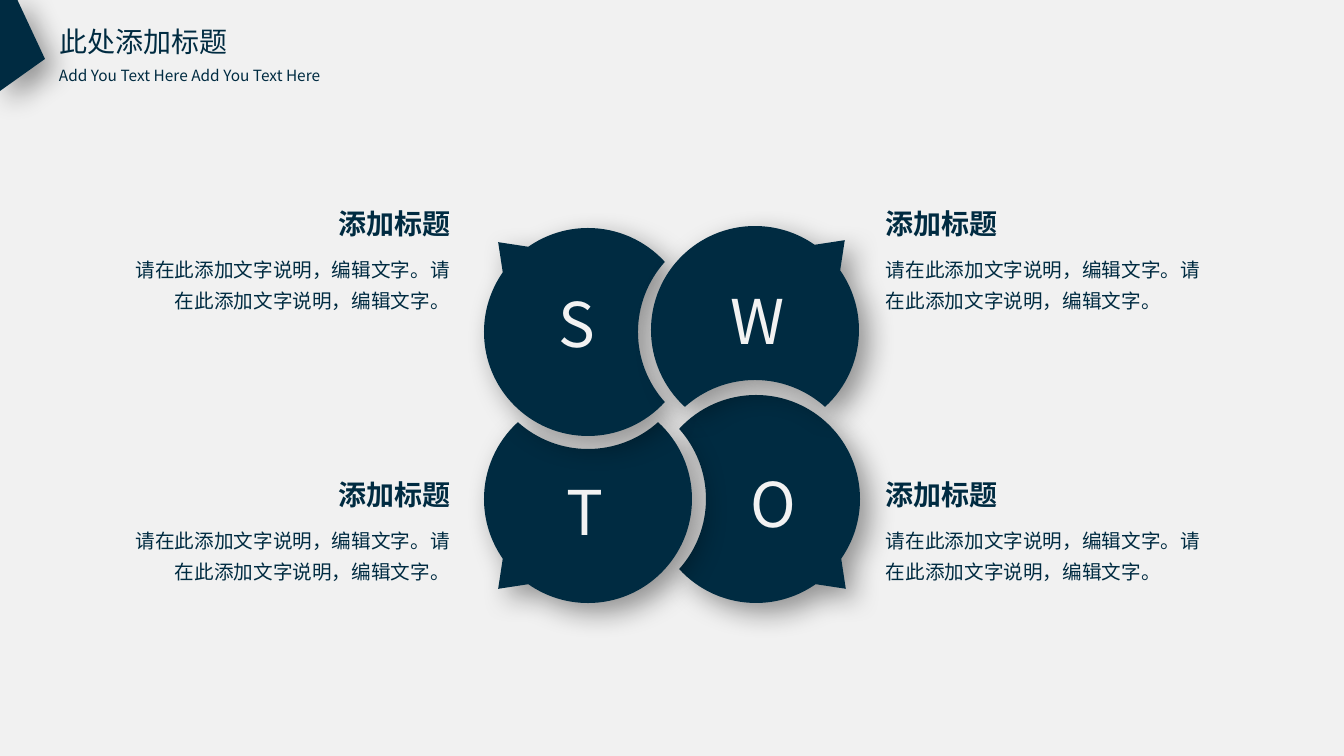
import math

import pptx
import pptx.dml.color
import pptx.enum.text
import pptx.oxml
import pptx.oxml.ns
import pptx.util

RGB = pptx.dml.color.RGBColor
ALIGN = pptx.enum.text.PP_ALIGN
NAVY = RGB(0x00, 0x2B, 0x41)
PALE = RGB(0xF2, 0xF2, 0xF2)
PAPER = RGB(0xF1, 0xF1, 0xF1)
FONT = "Noto Sans CJK SC"

TITLE = "此处添加标题"
SUBTITLE = "Add You Text Here Add You Text Here"
HEADING = "添加标题"
DETAIL = "请在此添加文字说明，编辑文字。请在此添加文字说明，编辑文字。"

PETALS = [
    {"letter": "O", "centre": (756, 499), "turn": 180, "label": (717, 466, 113, 75)},
    {"letter": "T", "centre": (588, 499), "turn": 270, "label": (524, 474, 122, 75)},
    {"letter": "S", "centre": (588, 332), "turn": 0, "label": (518, 286, 118, 75)},
    {"letter": "W", "centre": (755, 330), "turn": 90, "label": (703, 283, 109, 75)},
]
CORNER = [(17, -1), (0, -1), (0, 91), (45, 59), (17, -1)]
RADIUS, BITE_RADIUS, BITE_OFFSET = 104, 105, 155
HORN_ANGLE, HORN_HALF, HORN_REACH = 225, 10, 127

ROW_TOPS = [202, 473]
SIDES = [
    {"align": ALIGN.RIGHT, "heading_left": 269, "detail_left": 120},
    {"align": ALIGN.LEFT, "heading_left": 876, "detail_left": 876},
]
HEADING_SIZE = (192, 44)
DETAIL_SIZE = (340, 69)
DETAIL_DROP = 44

TITLE_FORMAT = {"size": pptx.util.Pt(20), "bold": False}
SUBTITLE_FORMAT = {"size": pptx.util.Pt(11)}
HEADING_FORMAT = {"size": pptx.util.Pt(20), "bold": True}
DETAIL_FORMAT = {"size": pptx.util.Pt(14)}
LETTER_FORMAT = {"size": pptx.util.Pt(44)}

SHADOW = (
    '<a:outerShdw %s blurRad="254000" dist="127000" dir="2700000" algn="tl" rotWithShape="0">'
    '<a:srgbClr val="000000"><a:alpha val="40000"/></a:srgbClr></a:outerShdw>'
) % pptx.oxml.ns.nsdecls("a")


def px(length):
    return pptx.util.Emu(round(length * 914400 / 100.8))


def write(holder, box, text, font_format, align=ALIGN.LEFT, spacing=1.0,
          color=NAVY, inset=None, wrap=True):
    for side, length in zip(("left", "top", "width", "height"), box):
        setattr(holder, side, px(length))
    frame = holder.text_frame
    frame_format = {
        "word_wrap": wrap,
        "auto_size": pptx.enum.text.MSO_AUTO_SIZE.SHAPE_TO_FIT_TEXT,
        "vertical_anchor": pptx.enum.text.MSO_ANCHOR.TOP,
    }
    if inset is not None:
        for side in ("left", "top", "right", "bottom"):
            frame_format["margin_" + side] = inset
    for key, value in frame_format.items():
        setattr(frame, key, value)
    paragraph = frame.paragraphs[0]
    paragraph.alignment = align
    paragraph.line_spacing = spacing
    run = paragraph.add_run()
    run.text = text
    run.font.color.rgb = color
    for key, value in {"name": FONT, **font_format}.items():
        setattr(run.font, key, value)
    east_asian = pptx.oxml.parse_xml(
        '<a:ea %s typeface="%s"/>' % (pptx.oxml.ns.nsdecls("a"), FONT))
    run.font._element.find(pptx.oxml.ns.qn("a:latin")).addnext(east_asian)


def add_text(slide, box, *args, **kwargs):
    write(slide.shapes.add_textbox(0, 0, 0, 0), box, *args, **kwargs)


def add_outline(slide, points):
    corners = [(px(x), px(y)) for x, y in points]
    builder = slide.shapes.build_freeform(*corners[0])
    builder.add_line_segments(corners[1:], close=True)
    outline = builder.convert_to_shape()
    outline.fill.solid()
    outline.fill.fore_color.rgb = NAVY
    outline.line.fill.background()
    outline.shadow.inherit = False
    effects = outline._element.spPr.find(pptx.oxml.ns.qn("a:effectLst"))
    effects.append(pptx.oxml.parse_xml(SHADOW))
    return outline


def polar(centre, radius, angle):
    turn = math.radians(angle)
    return centre[0] + radius * math.cos(turn), centre[1] + radius * math.sin(turn)


def arc(centre, radius, *angles):
    curves = []
    for start, end in zip(angles, angles[1:]):
        pull = 4 / 3 * math.tan(math.radians(end - start) / 4) * radius
        first, last = polar(centre, radius, start), polar(centre, radius, end)
        curves.append([polar(first, pull, start + 90), polar(last, -pull, end + 90), last])
    return curves


def petal_curves(centre, turn):
    reach = (BITE_OFFSET**2 + RADIUS**2 - BITE_RADIUS**2) / (2 * BITE_OFFSET)
    rim = math.degrees(math.acos(reach / RADIUS))
    bite = math.degrees(math.acos((BITE_OFFSET - reach) / BITE_RADIUS))
    horn = turn + HORN_ANGLE
    bite_centre = polar(centre, BITE_OFFSET, turn)
    start = polar(centre, RADIUS, turn + rim)
    return start, (
        arc(centre, RADIUS, turn + rim, turn + 90, turn + 180, horn - HORN_HALF)
        + [[polar(centre, HORN_REACH, horn)], [polar(centre, RADIUS, horn + HORN_HALF)]]
        + arc(centre, RADIUS, horn + HORN_HALF, turn + 270, turn + 360 - rim)
        + arc(bite_centre, BITE_RADIUS, turn + 180 + bite, turn + 180, turn + 180 - bite)
    )


def add_petal(slide, centre, turn):
    start, curves = petal_curves(centre, turn)
    outline = add_outline(slide, [start] + [curve[-1] for curve in curves])
    sides = list(outline._element.iter(pptx.oxml.ns.qn("a:lnTo")))
    for side, curve in zip(sides, curves):
        if len(curve) == 3:
            points = "".join(
                '<a:pt x="%d" y="%d"/>' % (px(x) - outline.left, px(y) - outline.top)
                for x, y in curve)
            bend = pptx.oxml.parse_xml("<a:cubicBezTo %s>%s</a:cubicBezTo>" % (
                pptx.oxml.ns.nsdecls("a"), points))
            side.getparent().replace(side, bend)


def main():
    deck = pptx.Presentation()
    deck.slide_width, deck.slide_height = px(1344), px(756)
    slide = deck.slides.add_slide(deck.slide_layouts[5])
    slide.background.fill.solid()
    slide.background.fill.fore_color.rgb = PAPER

    write(slide.shapes.title, (49, 19, 189, 44), TITLE, TITLE_FORMAT, wrap=False)
    add_text(slide, (49, 56, 308, 32), SUBTITLE, SUBTITLE_FORMAT, spacing=1.3)
    add_outline(slide, CORNER)

    for petal in PETALS:
        add_petal(slide, petal["centre"], petal["turn"])
    for petal in reversed(PETALS):
        add_text(slide, petal["label"], petal["letter"], LETTER_FORMAT,
                 align=ALIGN.CENTER, color=PALE, inset=0)

    for side in reversed(SIDES):
        for top in reversed(ROW_TOPS):
            add_text(slide, (side["heading_left"], top, *HEADING_SIZE), HEADING,
                     HEADING_FORMAT, align=side["align"])
            add_text(slide, (side["detail_left"], top + DETAIL_DROP, *DETAIL_SIZE), DETAIL,
                     DETAIL_FORMAT, align=side["align"], spacing=1.3)

    deck.save("out.pptx")


if __name__ == "__main__":
    main()
